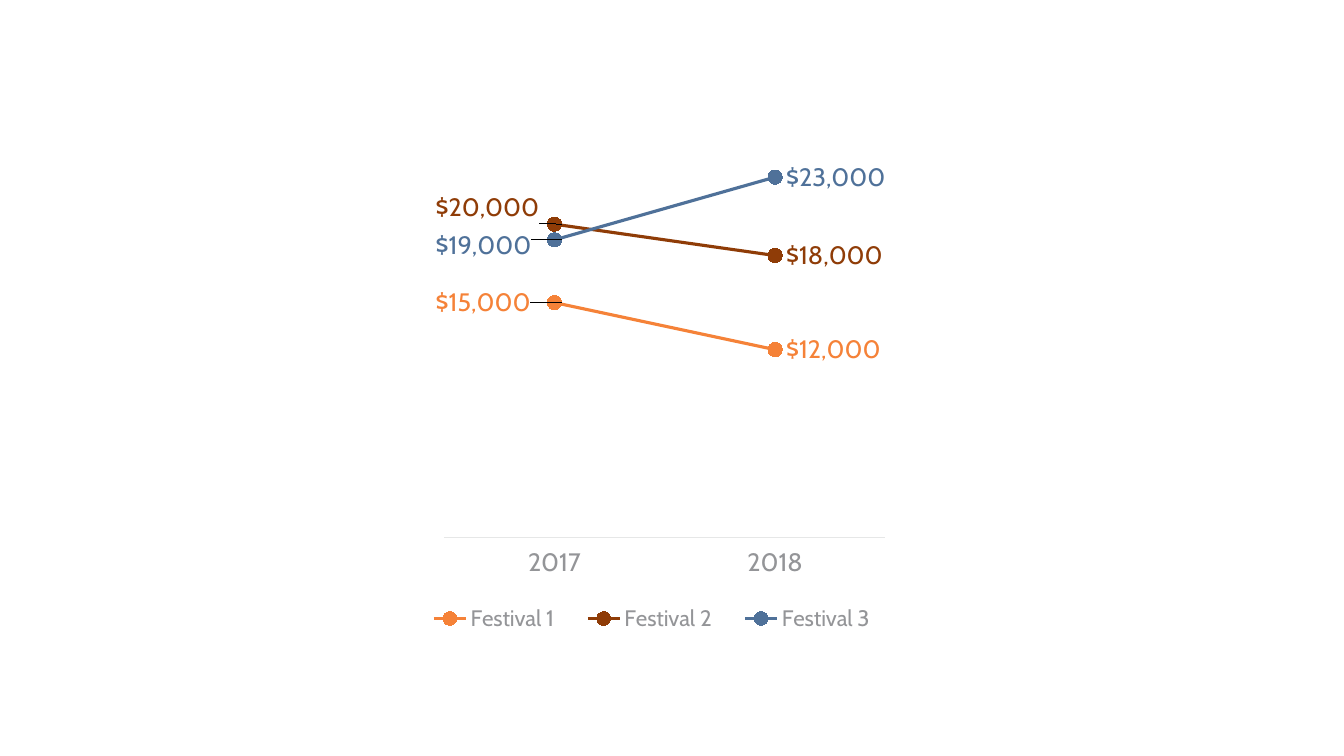
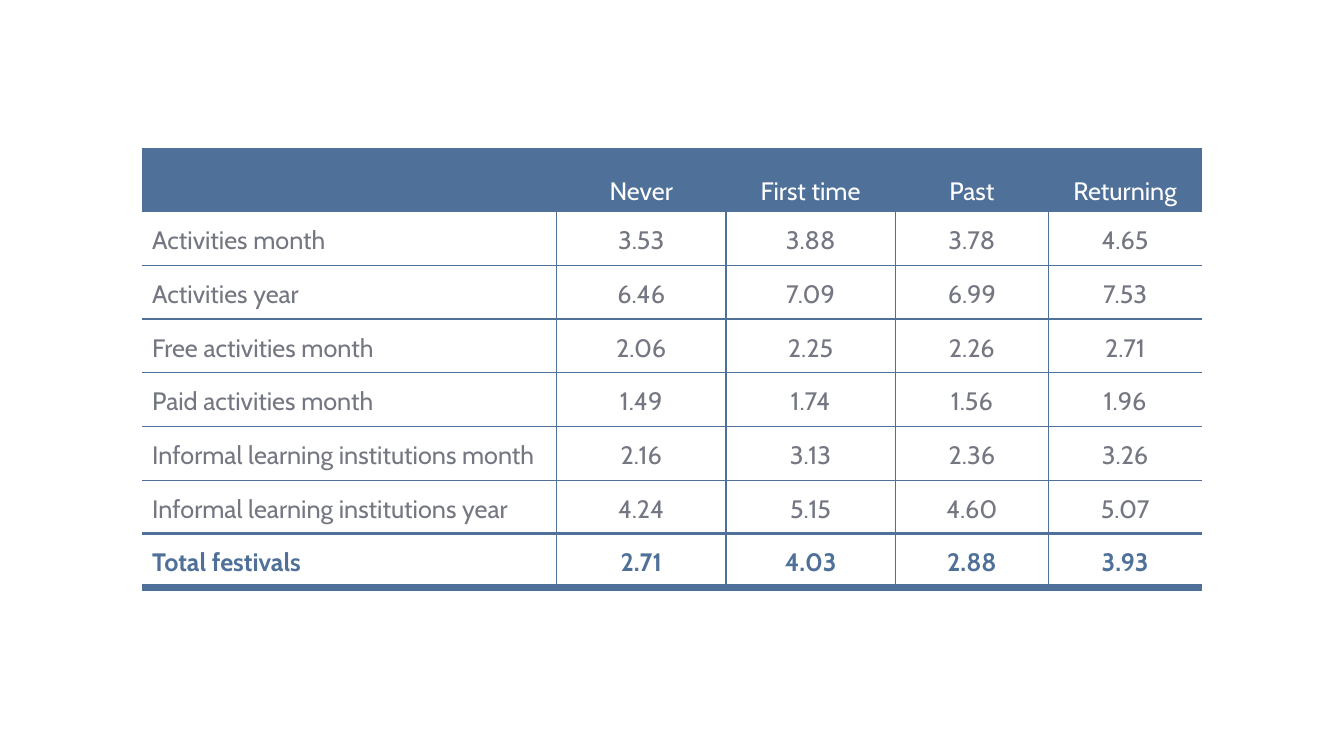
from lxml.etree import SubElement
from pptx import Presentation
from pptx.chart.data import CategoryChartData
from pptx.dml.color import RGBColor
from pptx.enum.chart import (XL_CHART_TYPE, XL_LABEL_POSITION, XL_LEGEND_POSITION,
                             XL_MARKER_STYLE, XL_TICK_LABEL_POSITION, XL_TICK_MARK)
from pptx.enum.text import MSO_ANCHOR, PP_ALIGN
from pptx.oxml import parse_xml
from pptx.oxml.ns import nsdecls, qn
from pptx.util import Inches, Pt

FACE = "Cabin"
BLUE, ORANGE, BROWN = "4F7199", "F58238", "8F3C07"
WHITE, SLATE, GREY, DARK, PALE = "FFFFFF", "747782", "949598", "5C5D5F", "E6E7E7"
MONEY = '"$"#,##0'

YEARS = ["2017", "2018"]
TRENDS = [
    ("Festival 1", (15000, 12000), ORANGE, 0),
    ("Festival 2", (20000, 18000), BROWN, -0.03),
    ("Festival 3", (19000, 23000), BLUE, 0.01),
]
ROWS = [
    ("", "Never", "First time", "Past", "Returning"),
    ("Activities month", "3.53", "3.88", "3.78", "4.65"),
    ("Activities year", "6.46", "7.09", "6.99", "7.53"),
    ("Free activities month", "2.06", "2.25", "2.26", "2.71"),
    ("Paid activities month", "1.49", "1.74", "1.56", "1.96"),
    ("Informal learning institutions month", "2.16", "3.13", "2.36", "3.26"),
    ("Informal learning institutions year", "4.24", "5.15", "4.60", "5.07"),
    ("Total festivals", "2.71", "4.03", "2.88", "3.93"),
]


def color(code):
    return RGBColor.from_string(code)


def layout(x, y, w=None, h=None, inner=False):
    parts = '<c:layoutTarget val="inner"/>' if inner else ""
    if w is not None:
        parts += '<c:xMode val="edge"/><c:yMode val="edge"/>'
    for tag, val in (("x", x), ("y", y), ("w", w), ("h", h)):
        if val is not None:
            parts += f'<c:{tag} val="{val}"/>'
    return parse_xml(f'<c:layout {nsdecls("c")}><c:manualLayout>{parts}'
                     '</c:manualLayout></c:layout>')


def place(parent, item, after=None):
    for old in parent.findall(qn("c:layout")):
        parent.remove(old)
    if after is None:
        parent.insert(0, item)
    else:
        parent.find(qn(after)).addnext(item)


class Deck:
    def __init__(self):
        self.show = Presentation()
        self.show.slide_width = Inches(13.33)
        self.show.slide_height = Inches(7.5)
        self.slide = None

    def page(self):
        self.slide = self.show.slides.add_slide(self.show.slide_layouts[6])

    def style(self, font, code, size=18, bold=False):
        font.name = FACE
        font.size = Pt(size)
        font.bold = bold
        font.color.rgb = color(code)

    def trend(self, x, y, w, h):
        data = CategoryChartData(number_format=MONEY)
        data.categories = YEARS
        for name, vals, *_ in TRENDS:
            data.add_series(name, vals)
        chart = self.slide.shapes.add_chart(
            XL_CHART_TYPE.LINE_MARKERS, Inches(x), Inches(y),
            Inches(w), Inches(h), data).chart
        self.style(chart.font, DARK)
        chart.has_title = False
        self.axes(chart)
        self.legend(chart)
        plot = chart.plots[0]
        plot.vary_by_categories = False
        place(chart._chartSpace.chart.plotArea,
              layout(0.1, 0.05, 0.85, 0.73, inner=True))
        for line, (_, _, code, shift) in zip(plot.series, TRENDS):
            self.series(line, code, shift)

    def axes(self, chart):
        scale = chart.value_axis
        scale.minimum_scale, scale.maximum_scale = 0, 25000
        scale.has_major_gridlines = False
        scale.visible = False
        base = chart.category_axis
        base.major_tick_mark = base.minor_tick_mark = XL_TICK_MARK.NONE
        base.tick_label_position = XL_TICK_LABEL_POSITION.LOW
        base.format.line.color.rgb = color(PALE)
        base.format.line.width = Pt(0.75)
        self.style(base.tick_labels.font, GREY)

    def legend(self, chart):
        chart.has_legend = True
        key = chart.legend
        key.position = XL_LEGEND_POSITION.BOTTOM
        key.include_in_layout = False
        self.style(key.font, GREY, 16)
        place(key._element, layout(0.03, 0.88, 0.94, 0.1), "c:legendPos")

    def series(self, line, code, shift):
        line.smooth = False
        line.format.line.color.rgb = color(code)
        line.format.line.width = Pt(2.25)
        dot = line.marker
        dot.style, dot.size = XL_MARKER_STYLE.CIRCLE, 10
        dot.format.fill.solid()
        dot.format.fill.fore_color.rgb = color(code)
        dot.format.line.color.rgb = color(code)
        tags = line.data_labels
        tags.show_value = True
        tags.number_format = MONEY
        tags.number_format_is_linked = False
        tags.position = XL_LABEL_POSITION.RIGHT
        self.style(tags.font, code)
        first = line.points[0].data_label
        first.position = XL_LABEL_POSITION.RIGHT
        self.style(first.font, code)
        for node in line._element.iter(qn("c:dLbl")):
            place(node, layout(-0.25, shift), "c:idx")

    def table(self, x, y, widths, heights):
        grid = self.slide.shapes.add_table(
            len(heights), len(widths), Inches(x), Inches(y),
            Inches(sum(widths)), Inches(sum(heights))).table
        grid.first_row = grid.horz_banding = False
        for col, width in zip(grid.columns, widths):
            col.width = Inches(width)
        for row, height in zip(grid.rows, heights):
            row.height = Inches(height)
        last = len(heights) - 1
        under = {last - 1: 2.25, last: 6}
        for r, texts in enumerate(ROWS):
            for c, text in enumerate(texts):
                cell = grid.cell(r, c)
                self.edge(cell, "L", 1 if c else 0)
                self.edge(cell, "R", 1 if c < len(widths) - 1 else 0)
                self.edge(cell, "T", under.get(r - 1, 1) if r else 0)
                self.edge(cell, "B", under.get(r, 1))
                if r == 0:
                    cell.fill.solid()
                    cell.fill.fore_color.rgb = color(BLUE)
                else:
                    cell.fill.background()
                cell.vertical_anchor = MSO_ANCHOR.MIDDLE if r else MSO_ANCHOR.BOTTOM
                code = {0: WHITE, last: BLUE}.get(r, SLATE)
                if text:
                    self.label(cell, text, code, c > 0, r == last)

    def edge(self, cell, side, width):
        props = cell._tc.get_or_add_tcPr()
        line = SubElement(props, qn(f"a:ln{side}"), w=str(Pt(width)))
        if width:
            fill = SubElement(line, qn("a:solidFill"))
            SubElement(fill, qn("a:srgbClr"), val=BLUE)
        else:
            SubElement(line, qn("a:noFill"))

    def label(self, cell, text, code, center, bold):
        para = cell.text_frame.paragraphs[0]
        para.alignment = PP_ALIGN.CENTER if center else PP_ALIGN.LEFT
        para.line_spacing = 1.15
        para.space_after = Pt(10)
        run = para.add_run()
        run.text = text
        self.style(run.font, code, bold=bold)


def main():
    deck = Deck()
    deck.page()
    deck.trend(3.89, 1.18, 5.15, 5.33)
    deck.page()
    head = 0.63
    body = (4.36 - head) / (len(ROWS) - 1)
    deck.table(1.41, 1.47, [4.11, 1.68, 1.68, 1.52, 1.52],
               [head] + [body] * (len(ROWS) - 1))
    deck.show.save("out.pptx")


if __name__ == "__main__":
    main()
